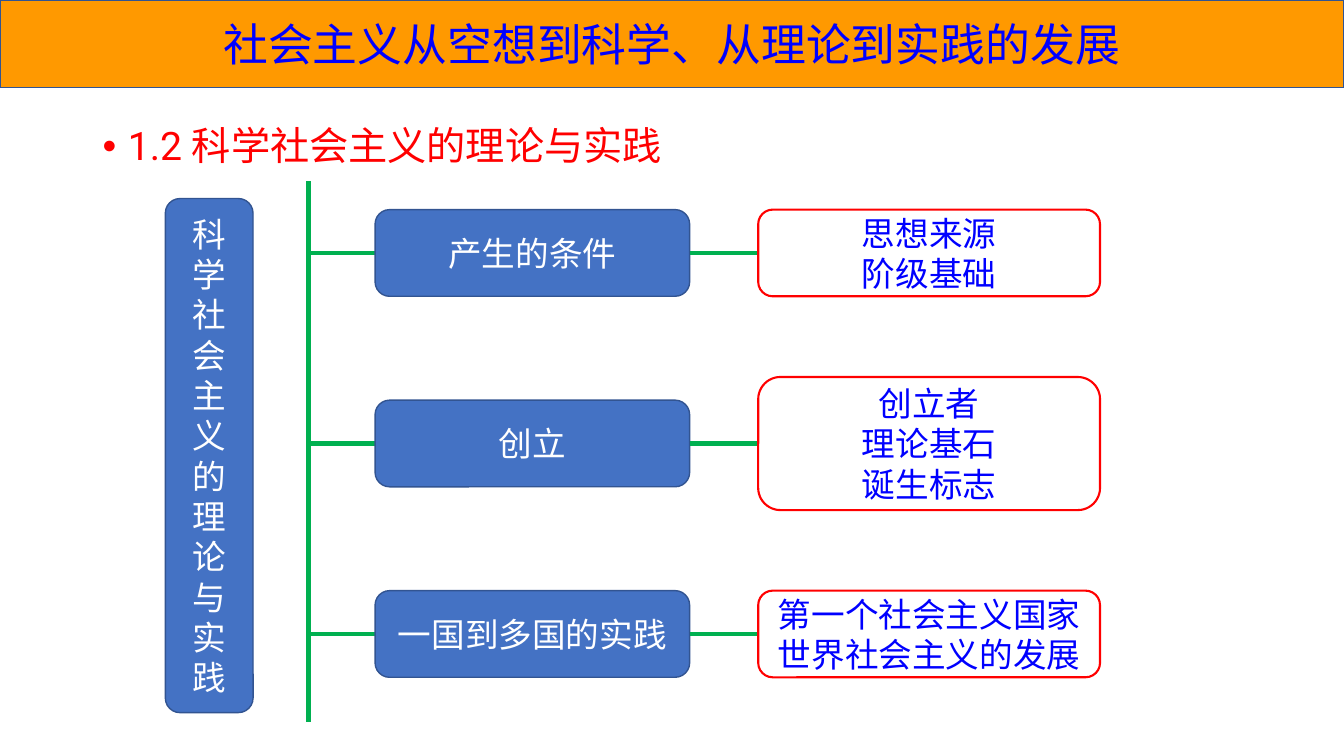
from dataclasses import dataclass

from lxml.etree import SubElement
from pptx import Presentation
from pptx.dml.color import RGBColor
from pptx.enum.shapes import MSO_CONNECTOR, MSO_SHAPE
from pptx.enum.text import MSO_ANCHOR, PP_ALIGN
from pptx.oxml.ns import qn
from pptx.util import Inches, Pt


@dataclass(frozen=True)
class Theme:
    banner: str = "FF9900"
    topic: str = "4472C4"
    outline: str = "325491"
    branch: str = "00B050"
    accent: str = "FF0000"
    ink: str = "0000FF"
    paper: str = "FFFFFF"
    title_size: int = 32
    heading_size: int = 28
    label_size: int = 24
    cjk_font: str = "Noto Sans CJK SC"
    latin_font: str = "Roboto"


class Diagram:
    cell = Inches(0.1)

    def __init__(self, slide, theme):
        self.slide = slide
        self.theme = theme

    def place(self, *cells):
        return [round(count * self.cell) for count in cells]

    def set_text(self, frame, text, size, color, latin, align):
        frame.text = text
        frame.word_wrap = True
        for paragraph in frame.paragraphs:
            paragraph.alignment = align
            for run in paragraph.runs:
                run.font.size = Pt(size)
                run.font.name = latin
                run.font.color.rgb = RGBColor.from_string(color)
                SubElement(run.font._element, qn("a:ea"), typeface=self.theme.cjk_font)

    def box(self, kind, area, text, fill, outline, weight, size, color):
        shape = self.slide.shapes.add_shape(kind, *self.place(*area))
        shape.shadow.inherit = False
        shape.fill.solid()
        shape.fill.fore_color.rgb = RGBColor.from_string(fill)
        shape.line.color.rgb = RGBColor.from_string(outline)
        shape.line.width = Pt(weight)
        shape.text_frame.vertical_anchor = MSO_ANCHOR.MIDDLE
        self.set_text(shape.text_frame, text, size, color, self.theme.cjk_font, PP_ALIGN.CENTER)

    def banner(self, area, text):
        style = self.theme
        self.box(MSO_SHAPE.RECTANGLE, area, text, style.banner, style.outline, 1,
                 style.title_size, style.ink)

    def topic(self, area, text):
        style = self.theme
        self.box(MSO_SHAPE.ROUNDED_RECTANGLE, area, text, style.topic, style.outline, 1,
                 style.label_size, style.paper)

    def details(self, area, text):
        style = self.theme
        self.box(MSO_SHAPE.ROUNDED_RECTANGLE, area, text, style.paper, style.accent, 1.5,
                 style.label_size, style.ink)

    def heading(self, area, text):
        style = self.theme
        frame = self.slide.shapes.add_textbox(*self.place(*area)).text_frame
        self.set_text(frame, text, style.heading_size, style.accent, style.latin_font,
                      PP_ALIGN.LEFT)
        paragraph = frame.paragraphs[0]
        paragraph.space_before = Pt(10)
        paragraph.line_spacing = 0.9
        properties = paragraph._p.get_or_add_pPr()
        properties.set("marL", str(Inches(0.25)))
        properties.set("indent", str(-Inches(0.25)))
        SubElement(properties, qn("a:buFont"), typeface="Arial")
        SubElement(properties, qn("a:buChar"), char="•")

    def line(self, *ends):
        connector = self.slide.shapes.add_connector(MSO_CONNECTOR.STRAIGHT, *self.place(*ends))
        connector.line.color.rgb = RGBColor.from_string(self.theme.branch)
        connector.line.width = Pt(3)
        SubElement(connector._element.spPr, qn("a:effectLst"))


presentation = Presentation()
presentation.slide_width = Inches(13.33)
presentation.slide_height = Inches(7.5)
diagram = Diagram(presentation.slides.add_slide(presentation.slide_layouts[6]), Theme())

subject = "科学社会主义的理论与实践"
diagram.heading((9.2, 12.1, 115, 61.1), f"1.2 {subject}")
diagram.banner((0, 0, 133.3, 8.7), "社会主义从空想到科学、从理论到实践的发展")
diagram.topic((16.4, 19.7, 8.7, 51), subject)

spine, topic_left, topic_width = 30.6, 37.2, 31.2
details_left, details_width = 75.2, 33.9
row_height, first_center, row_pitch = 8.6, 25.1, 18.9
diagram.line(spine, 18, spine, 71.6)

branches = [
    ("产生的条件", ["思想来源", "阶级基础"]),
    ("创立", ["创立者", "理论基石", "诞生标志"]),
    ("一国到多国的实践", ["第一个社会主义国家", "世界社会主义的发展"]),
]
for index, (topic, points) in enumerate(branches):
    center = first_center + index * row_pitch
    details_height = row_height + 4.6 * (len(points) - 2)
    diagram.line(spine, center, topic_left, center)
    diagram.topic((topic_left, center - row_height / 2, topic_width, row_height), topic)
    diagram.line(topic_left + topic_width, center, details_left, center)
    diagram.details((details_left, center - details_height / 2, details_width, details_height),
                    "\n".join(points))

presentation.save("out.pptx")
